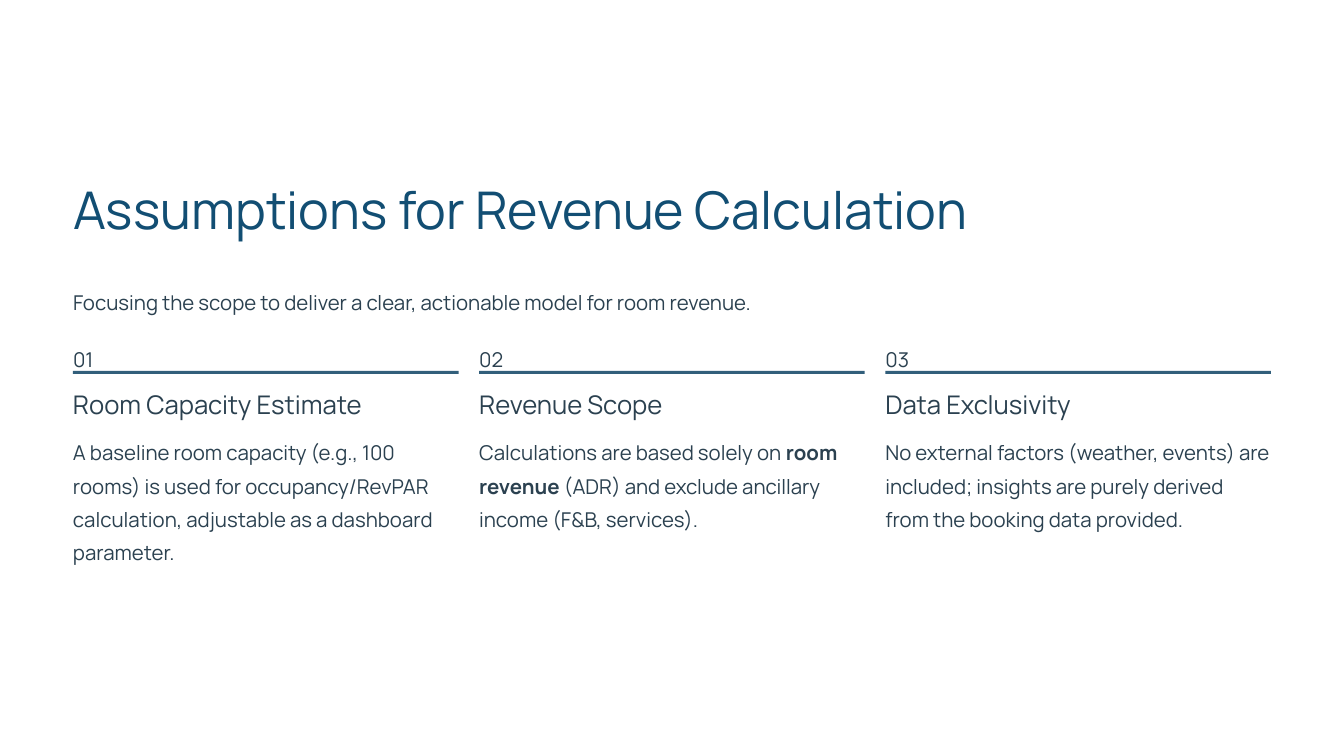
from pptx import Presentation
from pptx.dml.color import RGBColor
from pptx.enum import shapes, text
from pptx.util import Pt

TITLE = "Assumptions for Revenue Calculation"
INTRO = "Focusing the scope to deliver a clear, actionable model for room revenue."
# Number, heading, heading width, body height, body as (words, bold) runs
ASSUMPTIONS = [
    ("01", "Room Capacity Estimate", 278.6, 114.5, [
        ("A baseline room capacity (e.g., 100 rooms) is used for occupancy/RevPAR "
         "calculation, adjustable as a dashboard parameter.", False)]),
    ("02", "Revenue Scope", 223.2, 85.7, [
        ("Calculations are based solely on ", False),
        ("room revenue", True),
        (" (ADR) and exclude ancillary income (F&B, services).", False)]),
    ("03", "Data Exclusivity", 223.2, 114.5, [
        ("No external factors (weather, events) are included; insights are purely "
         "derived from the booking data provided.", False)]),
]

FONT = "Manrope"
WHITE = RGBColor(0xFF, 0xFF, 0xFF)
NAVY = RGBColor(0x12, 0x4E, 0x73)
SLATE = RGBColor(0x2B, 0x41, 0x50)
RULE_BLUE = RGBColor(0x32, 0x5F, 0x7B)

SLIDE_WIDTH, SLIDE_HEIGHT = 1152, 648
MARGIN = 62.6
GAP = 17.6
CONTENT_WIDTH = SLIDE_WIDTH - 2 * MARGIN
COLUMN_WIDTH = (CONTENT_WIDTH - 2 * GAP) / 3


def place(box, left, top, width, height):
    box.left, box.top, box.width, box.height = map(Pt, (left, top, width, height))


def write(box, runs, size=17.5, spacing=28.5, color=SLATE, wrap=False):
    """Fill a box with one left-aligned paragraph, without insets."""
    frame = box.text_frame
    frame.margin_left = frame.margin_top = frame.margin_right = frame.margin_bottom = 0
    frame.auto_size = text.MSO_AUTO_SIZE.NONE
    frame.vertical_anchor = text.MSO_ANCHOR.TOP
    frame.word_wrap = wrap
    paragraph = frame.paragraphs[0]
    paragraph.alignment = text.PP_ALIGN.LEFT
    paragraph.line_spacing = Pt(spacing)
    paragraph.font.name = FONT
    paragraph.font.size = Pt(size)
    paragraph.font.color.rgb = color
    for words, bold in runs:
        run = paragraph.add_run()
        run.text = words
        if bold:
            run.font.bold = True


def add_text(slide, left, top, width, height, runs, **style):
    box = slide.shapes.add_textbox(*map(Pt, (left, top, width, height)))
    write(box, runs, **style)


def add_rule(slide, left):
    rule = slide.shapes.add_shape(
        shapes.MSO_SHAPE.RECTANGLE, *map(Pt, (left, 318, COLUMN_WIDTH, 2.4)))
    rule.shadow.inherit = False
    rule.fill.solid()
    rule.fill.fore_color.rgb = RULE_BLUE
    rule.line.fill.background()


def main():
    deck = Presentation()
    deck.slide_width, deck.slide_height = Pt(SLIDE_WIDTH), Pt(SLIDE_HEIGHT)
    slide = deck.slides.add_slide(deck.slide_layouts.get_by_name("Title Only"))
    slide.background.fill.solid()
    slide.background.fill.fore_color.rgb = WHITE

    title = slide.shapes.title
    place(title, MARGIN, 149.8, 843.8, 56.2)
    write(title, [(TITLE, False)], size=44.5, spacing=55.5, color=NAVY)
    add_text(slide, MARGIN, 241.2, CONTENT_WIDTH, 28.8, [(INTRO, False)])

    for index, (number, heading, heading_width, body_height, body) in enumerate(ASSUMPTIONS):
        left = MARGIN + index * (COLUMN_WIDTH + GAP)
        add_text(slide, left, 290.2, 18, 22.3, [(number, False)])
        add_rule(slide, left)
        add_text(slide, left, 331.9, heading_width, 28, [(heading, False)],
                 size=22, spacing=27.5)
        add_text(slide, left, 370.1, COLUMN_WIDTH, body_height, body, wrap=True)

    deck.save("out.pptx")


if __name__ == "__main__":
    main()
